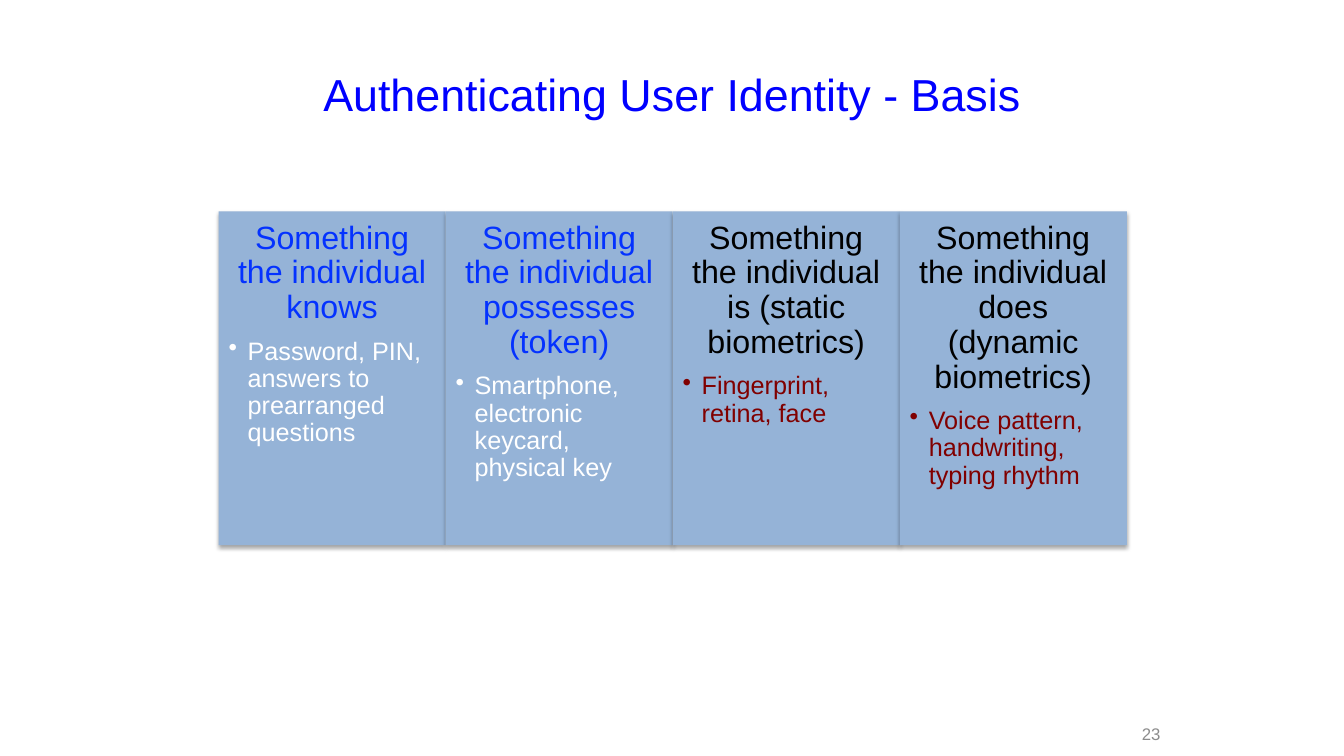
from dataclasses import dataclass

from lxml import etree
from pptx import Presentation
from pptx import util as u
from pptx.dml.color import RGBColor
from pptx.enum import shapes, text
from pptx.oxml.ns import qn


@dataclass(frozen=True)
class Theme:
    font: str = "Arial"
    title: str = "0000FF"
    card: str = "95B3D7"
    shadow: str = "000000"
    blue: str = "0432FF"
    black: str = "000000"
    white: str = "FFFFFF"
    maroon: str = "800000"
    grey: str = "8C8C8C"
    title_size: int = 32
    heading_size: int = 23
    example_size: int = 18
    number_size: int = 12


class SlideBuilder:
    def __init__(self, slide, theme):
        self.slide = slide
        self.theme = theme

    def add_run(self, paragraph, words, size, color):
        run = paragraph.add_run()
        run.text = words
        run.font.name = self.theme.font
        run.font.size = u.Pt(size)
        run.font.color.rgb = RGBColor.from_string(color)

    def add_title(self, words, left, top, width, height):
        title = self.slide.shapes.title
        title.left, title.top = u.Cm(left), u.Cm(top)
        title.width, title.height = u.Cm(width), u.Cm(height)
        frame = title.text_frame
        frame.vertical_anchor = text.MSO_ANCHOR.MIDDLE
        paragraph = frame.paragraphs[0]
        paragraph.alignment = text.PP_ALIGN.CENTER
        self.add_run(paragraph, words, self.theme.title_size, self.theme.title)

    def add_page_number(self, number, left, top, width, height):
        box = self.slide.shapes.add_textbox(
            u.Cm(left), u.Cm(top), u.Cm(width), u.Cm(height))
        frame = box.text_frame
        frame.word_wrap = True
        frame.margin_top = frame.margin_bottom = 0
        frame.vertical_anchor = text.MSO_ANCHOR.MIDDLE
        paragraph = frame.paragraphs[0]
        paragraph.alignment = text.PP_ALIGN.RIGHT
        self.add_run(paragraph, number, self.theme.number_size, self.theme.grey)

    def add_shadow(self, shape):
        """Give the shape a soft shadow straight below it."""
        shape.shadow.inherit = False
        effects = shape._element.spPr.find(qn("a:effectLst"))
        shadow = etree.SubElement(
            effects, qn("a:outerShdw"), blurRad=str(u.Pt(3.1)),
            dist=str(u.Pt(1.8)), dir="5400000", rotWithShape="0")
        color = etree.SubElement(shadow, qn("a:srgbClr"), val=self.theme.shadow)
        etree.SubElement(color, qn("a:alpha"), val="35000")

    def add_bullet(self, paragraph, indent):
        properties = paragraph._p.get_or_add_pPr()
        properties.set("marL", str(u.Cm(indent)))
        properties.set("indent", str(-u.Cm(indent)))
        etree.SubElement(properties, qn("a:buChar"), char="•")

    def add_card(self, heading, heading_color, examples, examples_color,
                 left, top, width, height):
        card = self.slide.shapes.add_shape(
            shapes.MSO_SHAPE.RECTANGLE,
            u.Cm(left), u.Cm(top), u.Cm(width), u.Cm(height))
        card.fill.solid()
        card.fill.fore_color.rgb = RGBColor.from_string(self.theme.card)
        card.line.fill.background()
        self.add_shadow(card)

        frame = card.text_frame
        frame.word_wrap = True
        frame.vertical_anchor = text.MSO_ANCHOR.TOP
        frame.margin_left = frame.margin_right = u.Cm(0.25)
        frame.margin_top = frame.margin_bottom = u.Cm(0.25)

        basis = frame.paragraphs[0]
        basis.alignment = text.PP_ALIGN.CENTER
        basis.line_spacing = 0.9
        basis.space_after = u.Pt(9)
        self.add_run(basis, heading, self.theme.heading_size, heading_color)

        example = frame.add_paragraph()
        example.level = 1
        self.add_bullet(example, 0.48)
        example.alignment = text.PP_ALIGN.LEFT
        example.line_spacing = 0.9
        self.add_run(example, examples, self.theme.example_size, examples_color)


def main():
    presentation = Presentation()
    presentation.slide_width = u.Cm(33.86)
    presentation.slide_height = u.Cm(19.05)
    theme = Theme()
    title_only = presentation.slide_layouts[5]
    builder = SlideBuilder(presentation.slides.add_slide(title_only), theme)

    builder.add_title("Authenticating User Identity - Basis", 1.7, 0.76, 30.48, 3.18)

    bases = [
        ("Something the individual knows", theme.blue,
         "Password, PIN, answers to prearranged questions", theme.white),
        ("Something the individual possesses (token)", theme.blue,
         "Smartphone, electronic keycard, physical key", theme.white),
        ("Something the individual is (static biometrics)", theme.black,
         "Fingerprint, retina, face", theme.maroon),
        ("Something the individual does (dynamic biometrics)", theme.black,
         "Voice pattern, handwriting, typing rhythm", theme.maroon),
    ]
    card_width = 5.72
    for column, basis in enumerate(bases):
        builder.add_card(*basis, 5.51 + column * card_width, 5.33, card_width, 8.41)

    builder.add_page_number("23", 27.76, 18.29, 1.73, 0.38)
    presentation.save("out.pptx")


if __name__ == "__main__":
    main()
